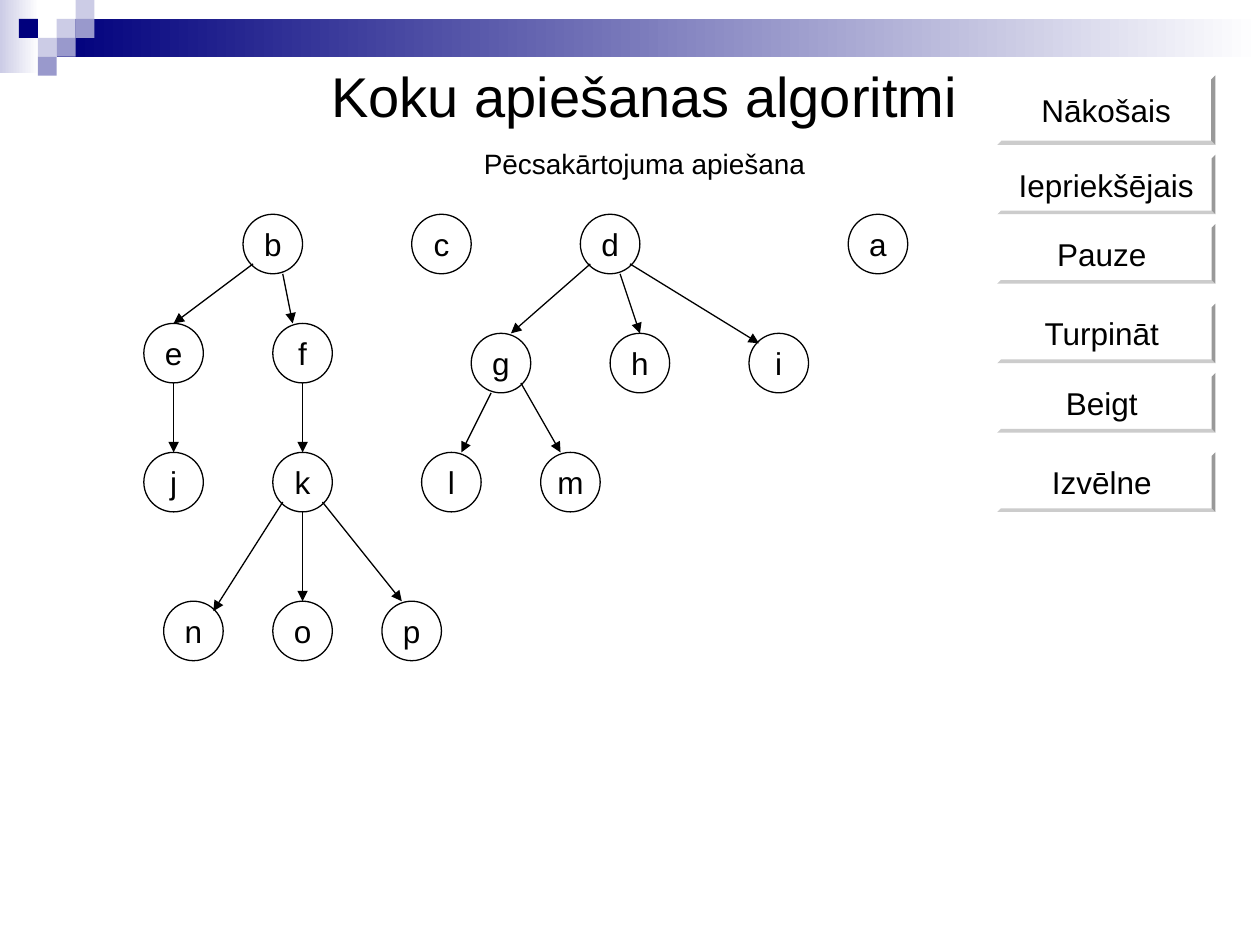
from lxml import etree
from pptx import Presentation
from pptx.dml.color import RGBColor
from pptx.enum.shapes import MSO_CONNECTOR, MSO_SHAPE
from pptx.enum.text import MSO_ANCHOR, PP_ALIGN
from pptx.oxml.ns import qn
from pptx.util import Inches, Mm, Pt

BLACK = RGBColor(0x00, 0x00, 0x00)
WHITE = RGBColor(0xFF, 0xFF, 0xFF)
NAVY = RGBColor(0x00, 0x00, 0x7D)
LAVENDER = RGBColor(0xCC, 0xCC, 0xE6)
VIOLET = RGBColor(0x99, 0x99, 0xCC)

HEADING = [("Koku apiešanas algoritmi", 32, 0), ("Pēcsakārtojuma apiešana", 16, 10)]

# Header mosaic: column, row, colour, on a grid of square tiles
TILE = 0.15
TILES = [(3, 1, LAVENDER), (4, 0, LAVENDER), (4, 1, VIOLET), (2, 2, LAVENDER),
         (1, 1, NAVY), (3, 2, VIOLET), (2, 3, VIOLET)]

# Everything below the heading is laid out in millimetres
BUTTON_LEFT, BUTTON_WIDTH = 201, 44
BUTTONS = [("Nākošais", 15.2, 14), ("Iepriekšējais", 31.2, 12), ("Pauze ", 45.2, 12),
           ("Turpināt ", 61.2, 12), ("Beigt ", 75.2, 12), ("Izvēlne ", 91.2, 12)]

# Tree levels: centre height, then the centre of each node across
RADIUS = 6
LEVELS = [(49.2, {"a": 177, "b": 55, "c": 89, "d": 123}),
          (71.2, {"e": 35, "f": 61}),
          (73.2, {"g": 101, "h": 129, "i": 157}),
          (97.2, {"j": 35, "k": 61, "l": 91, "m": 115}),
          (127.2, {"n": 39, "o": 61, "p": 83})]
# Parent, child, sideways shift from the centre where the arrow leaves and arrives
EDGES = [("b", "e", -4, 0), ("b", "f", 2, -2),
         ("d", "g", -4, 2), ("d", "h", 2, 0), ("d", "i", 4, -4),
         ("e", "j", 0, 0), ("f", "k", 0, 0),
         ("g", "l", -2, 2), ("g", "m", 4, -2),
         ("k", "n", -4, 4), ("k", "o", 0, 0), ("k", "p", 4, -2)]


def add_run(paragraph, text, size):
    paragraph.alignment = PP_ALIGN.CENTER
    run = paragraph.add_run()
    run.text = text
    run.font.name = "Arial"
    run.font.size = Pt(size)
    run.font.color.rgb = BLACK


def add_plain(slide, kind, box, colour):
    """Add an unoutlined shape without shadow, filled with one colour."""
    shape = slide.shapes.add_shape(kind, *box)
    shape.shadow.inherit = False
    shape.fill.solid()
    shape.fill.fore_color.rgb = colour
    shape.line.fill.background()
    return shape


def add_labelled(slide, kind, box, label):
    shape = add_plain(slide, kind, [Mm(length) for length in box], WHITE)
    frame = shape.text_frame
    frame.word_wrap = False
    frame.vertical_anchor = MSO_ANCHOR.MIDDLE
    add_run(frame.paragraphs[0], label, 18)
    return shape


def add_fading_band(slide, box, colour):
    """Add a band that fades from the colour to white, left to right."""
    band = add_plain(slide, MSO_SHAPE.RECTANGLE, [Inches(length) for length in box], colour)
    band.fill.gradient()
    band.fill.gradient_angle = 0
    for stop, shade in zip(band.fill.gradient_stops, (colour, WHITE)):
        stop.color.rgb = shade


def add_header(slide):
    add_fading_band(slide, (0, 0, 0.31, 0.58), LAVENDER)
    add_fading_band(slide, (3 * TILE, TILE, 10 - 3 * TILE, 2 * TILE), NAVY)
    for column, row, colour in TILES:
        box = [Inches(TILE * cells) for cells in (column, row, 1, 1)]
        add_plain(slide, MSO_SHAPE.RECTANGLE, box, colour)


def add_heading(slide):
    frame = slide.shapes.add_textbox(
        Inches(1.77), Inches(0.44), Inches(6.69), Inches(1.04)).text_frame
    frame.word_wrap = True
    for index, (text, size, space) in enumerate(HEADING):
        paragraph = frame.add_paragraph() if index else frame.paragraphs[0]
        paragraph.space_before = Pt(space)
        add_run(paragraph, text, size)


def add_buttons(slide):
    for label, top, height in BUTTONS:
        button = add_labelled(slide, MSO_SHAPE.BEVEL,
                              (BUTTON_LEFT, top, BUTTON_WIDTH, height), label)
        button.adjustments[0] = 0.06


def rim(shift):
    """Height above or below a node's centre at which an arrow meets its rim."""
    return 4 if abs(shift) == 4 else RADIUS


def add_tree(slide):
    centres = {}
    for y, nodes in LEVELS:
        for label, x in nodes.items():
            centres[label] = x, y
            node = add_labelled(slide, MSO_SHAPE.OVAL,
                                (x - RADIUS, y - RADIUS, 2 * RADIUS, 2 * RADIUS), label)
            node.line.color.rgb = BLACK
            node.line.width = Pt(0.75)
    for parent, child, leave, arrive in EDGES:
        (x1, y1), (x2, y2) = centres[parent], centres[child]
        arrow = slide.shapes.add_connector(
            MSO_CONNECTOR.STRAIGHT, Mm(x1 + leave), Mm(y1 + rim(leave)),
            Mm(x2 + arrive), Mm(y2 - rim(arrive)))
        arrow.line.color.rgb = BLACK
        arrow.line.width = Pt(0.75)
        etree.SubElement(arrow.line._get_or_add_ln(), qn("a:tailEnd"), type="triangle")
        etree.SubElement(arrow._element.spPr, qn("a:effectLst"))


def main():
    deck = Presentation()
    deck.slide_width, deck.slide_height = Inches(10), Inches(7.5)
    slide = deck.slides.add_slide(deck.slide_layouts[6])
    add_header(slide)
    add_heading(slide)
    add_buttons(slide)
    add_tree(slide)
    deck.save("out.pptx")


if __name__ == "__main__":
    main()
